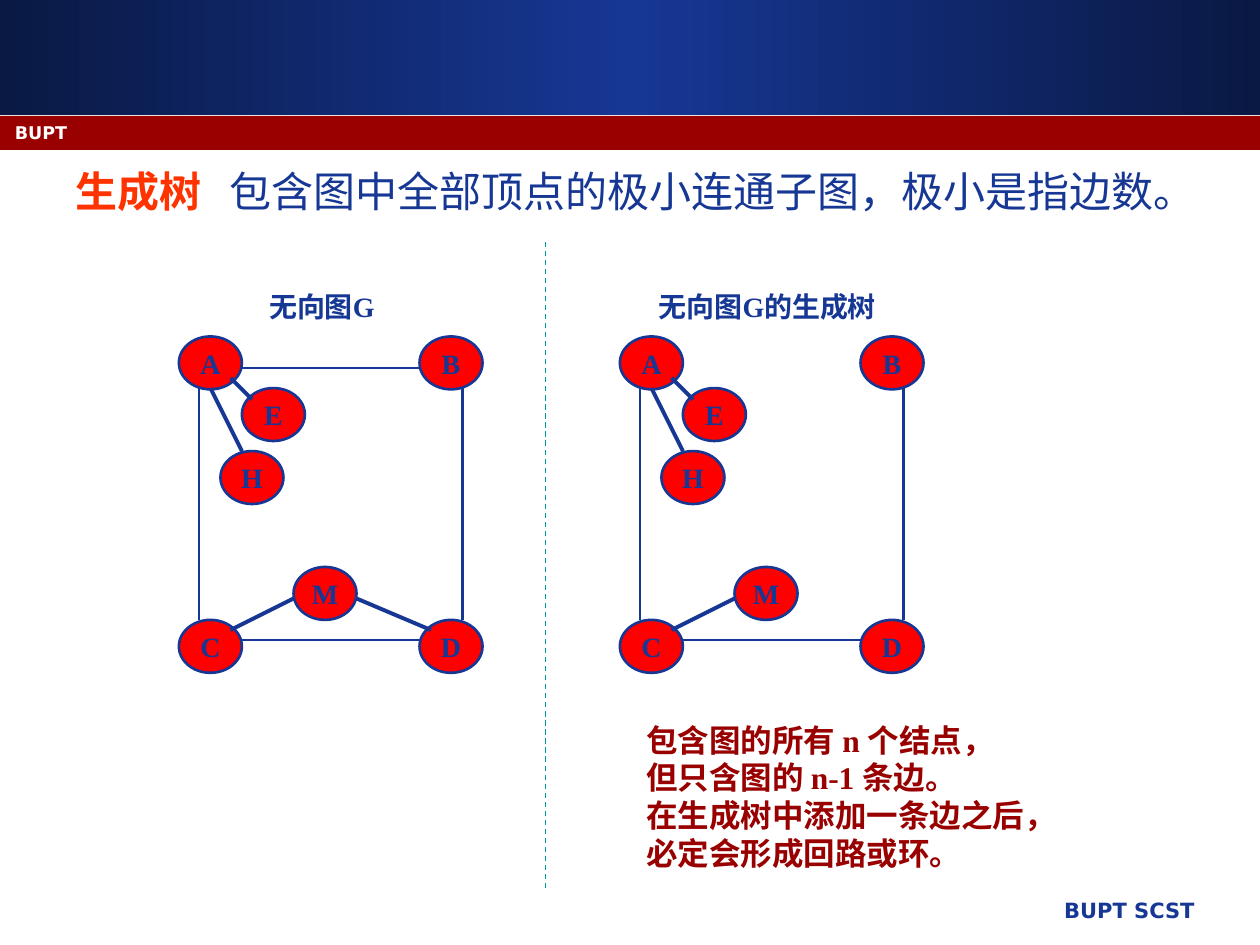
from dataclasses import dataclass

from lxml import etree
from pptx import Presentation
from pptx.dml.color import RGBColor
from pptx.enum.dml import MSO_LINE
from pptx.enum.shapes import MSO_CONNECTOR, MSO_SHAPE
from pptx.enum.text import MSO_ANCHOR, MSO_AUTO_SIZE, PP_ALIGN
from pptx.oxml.ns import qn
from pptx.util import Inches, Pt

LEFT, CENTER, RIGHT = PP_ALIGN.LEFT, PP_ALIGN.CENTER, PP_ALIGN.RIGHT
TOP, MIDDLE = MSO_ANCHOR.TOP, MSO_ANCHOR.MIDDLE
RECTANGLE, OVAL = MSO_SHAPE.RECTANGLE, MSO_SHAPE.OVAL
STRAIGHT, DASH = MSO_CONNECTOR.STRAIGHT, MSO_LINE.DASH
NO_AUTOFIT = MSO_AUTO_SIZE.NONE

SERIF, SANS = "Times New Roman", "DejaVu Sans"
COLORS = {
    "navy": "163794",
    "dark navy": "0A1944",
    "crimson": "990000",
    "red": "FF0000",
    "orange": "FF3300",
    "teal": "009999",
    "white": "FFFFFF",
}
NODE_WIDTH, NODE_HEIGHT = 0.5, 0.42
GRAPH_TOP = 2.67


@dataclass(frozen=True)
class Node:
    name: str
    x: float
    y: float


@dataclass(frozen=True)
class Edge:
    start: tuple[float, float]
    end: tuple[float, float]
    width: float = 1.5


@dataclass(frozen=True)
class TextStyle:
    size: float
    color: str
    font: str = SERIF
    bold: bool = True


# Node and edge positions are measured from the top left of a graph.
NODES = [
    Node("A", 0, 0),
    Node("B", 1.91, 0),
    Node("C", 0, 2.25),
    Node("D", 1.91, 2.25),
    Node("E", 0.5, 0.41),
    Node("H", 0.33, 0.91),
    Node("M", 0.91, 1.83),
]
EDGES = {
    "AB": Edge((0.5, 0.25), (1.91, 0.25)),
    "AC": Edge((0.16, 0.41), (0.16, 2.25)),
    "BD": Edge((2.25, 0.41), (2.25, 2.25)),
    "CD": Edge((0.5, 2.41), (1.91, 2.41)),
    "MD": Edge((1.41, 2.08), (2, 2.33), 2.25),
    "CM": Edge((0.41, 2.33), (0.91, 2.08), 2.25),
    "AH": Edge((0.25, 0.41), (0.5, 0.91), 2.25),
    "AE": Edge((0.41, 0.33), (0.58, 0.5), 2.25),
}
TREE_EDGES = ["AC", "BD", "CD", "CM", "AH", "AE"]


def rgb(color: str) -> RGBColor:
    return RGBColor.from_string(COLORS[color])


def add_run(paragraph, text: str, style: TextStyle) -> None:
    run = paragraph.add_run()
    run.text = text
    run.font.name = style.font
    run.font.size = Pt(style.size)
    run.font.bold = style.bold
    run.font.color.rgb = rgb(style.color)


def add_text(slide, box: tuple, lines: list[str], style: TextStyle, alignment=LEFT) -> None:
    frame = slide.shapes.add_textbox(*map(Inches, box)).text_frame
    frame.word_wrap = True
    for index, line in enumerate(lines):
        paragraph = frame.add_paragraph() if index else frame.paragraphs[0]
        paragraph.alignment = alignment
        add_run(paragraph, line, style)


def add_band(slide, top: float, height: float, color: str):
    band = slide.shapes.add_shape(RECTANGLE, 0, Inches(top), Inches(10), Inches(height))
    band.shadow.inherit = False
    band.fill.solid()
    band.fill.fore_color.rgb = rgb(color)
    band.line.fill.background()
    return band


def set_horizontal_gradient(shape, stops: list[tuple[int, str]]) -> None:
    shape.fill.gradient()
    shape.fill.gradient_angle = 0
    stop_list = shape.element.spPr.find(qn("a:gradFill")).find(qn("a:gsLst"))
    for stop in list(stop_list):
        stop_list.remove(stop)
    for percent, color in stops:
        stop = etree.SubElement(stop_list, qn("a:gs"), pos=str(percent * 1000))
        etree.SubElement(stop, qn("a:srgbClr"), val=COLORS[color])


def add_line(slide, start: tuple, end: tuple, color: str, width: float):
    line = slide.shapes.add_connector(STRAIGHT, *map(Inches, (*start, *end)))
    line.line.color.rgb = rgb(color)
    line.line.width = Pt(width)
    etree.SubElement(line.element.spPr, qn("a:effectLst"))
    return line


def add_node(slide, node: Node, left: float) -> None:
    box = (left + node.x, GRAPH_TOP + node.y, NODE_WIDTH, NODE_HEIGHT)
    oval = slide.shapes.add_shape(OVAL, *map(Inches, box))
    oval.shadow.inherit = False
    oval.fill.solid()
    oval.fill.fore_color.rgb = rgb("red")
    oval.line.color.rgb = rgb("navy")
    oval.line.width = Pt(1.5)
    frame = oval.text_frame
    frame.word_wrap = False
    frame.vertical_anchor = MIDDLE
    frame.paragraphs[0].alignment = CENTER
    add_run(frame.paragraphs[0], node.name, TextStyle(16, "navy"))


def add_graph(slide, left: float, edge_names: list[str]) -> None:
    for node in NODES:
        add_node(slide, node, left)
    for name in edge_names:
        edge = EDGES[name]
        start, end = ((left + x, GRAPH_TOP + y) for x, y in (edge.start, edge.end))
        add_line(slide, start, end, "navy", edge.width)


def format_title(title) -> None:
    title.left, title.top, title.width, title.height = map(Inches, (0.5, 1.26, 9, 0.6))
    frame = title.text_frame
    frame.auto_size = NO_AUTOFIT
    frame.word_wrap = True
    frame.vertical_anchor = TOP
    paragraph = frame.paragraphs[0]
    paragraph.alignment = LEFT
    tabs = etree.SubElement(paragraph._p.get_or_add_pPr(), qn("a:tabLst"))
    etree.SubElement(tabs, qn("a:tab"), pos=str(Inches(1.22)), algn="l")
    add_run(paragraph, "生成树", TextStyle(24, "orange"))
    definition = "\t包含图中全部顶点的极小连通子图，极小是指边数。"
    add_run(paragraph, definition, TextStyle(24, "navy", bold=False))


def main() -> None:
    presentation = Presentation()
    presentation.slide_width, presentation.slide_height = Inches(10), Inches(7.5)
    slide = presentation.slides.add_slide(presentation.slide_layouts[5])

    header = add_band(slide, 0, 0.91, "navy")
    set_horizontal_gradient(header, [(0, "dark navy"), (50, "navy"), (100, "dark navy")])
    add_band(slide, 0.92, 0.27, "crimson")
    add_text(slide, (0.02, 0.92, 9.25, 0.25), ["BUPT"], TextStyle(10, "white", SANS))
    add_text(slide, (4.21, 7.07, 5.37, 0.35), ["BUPT SCST"], TextStyle(12, "navy", SANS), RIGHT)
    format_title(slide.shapes.title)

    add_graph(slide, 1.42, list(EDGES))
    add_graph(slide, 4.92, TREE_EDGES)
    caption = TextStyle(16, "navy")
    add_text(slide, (1.89, 2.25, 1.33, 0.37), ["无向图G"], caption, CENTER)
    add_text(slide, (5.05, 2.25, 2.08, 0.37), ["无向图G的生成树"], caption, CENTER)
    divider = add_line(slide, (4.33, 1.92), (4.33, 7.07), "teal", 0.75)
    divider.line.dash_style = DASH

    conclusion = [
        "包含图的所有 n 个结点，",
        "但只含图的 n-1 条边。",
        "在生成树中添加一条边之后，",
        "必定会形成回路或环。",
    ]
    add_text(slide, (5.03, 5.67, 3.47, 1.3), conclusion, TextStyle(18, "crimson"))
    presentation.save("out.pptx")


if __name__ == "__main__":
    main()
